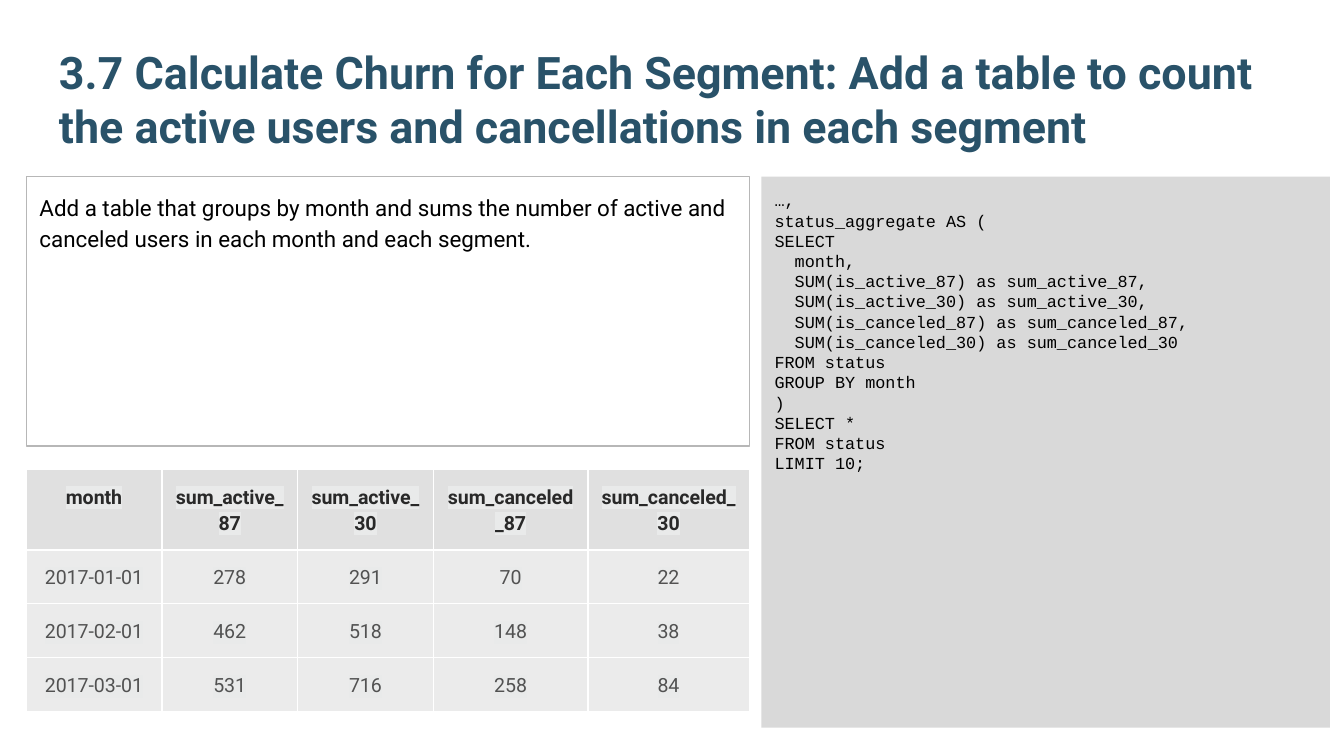
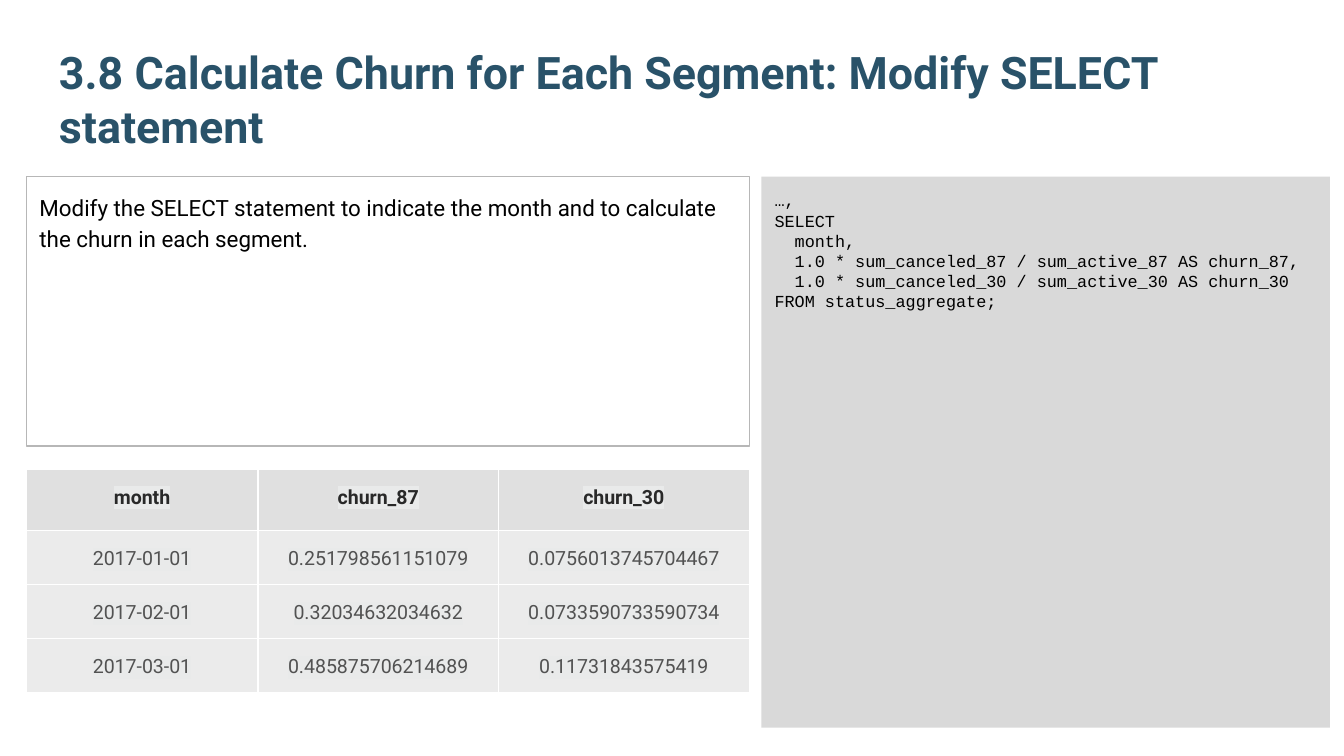
from lxml.etree import SubElement
from pptx import Presentation
from pptx.dml.color import RGBColor
from pptx.enum.shapes import MSO_SHAPE as Shape
from pptx.enum.text import MSO_ANCHOR as Anchor, PP_ALIGN as Align
from pptx.oxml import parse_xml
from pptx.oxml.ns import nsdecls, qn
from pptx.util import Emu, Pt

PX = 4572  # 200 px to the inch


def px(length):
    return Emu(length * PX)


def rgb(value):
    return RGBColor.from_string(value)


def write(frame, text, size, color, font="Roboto", bold=False, align=Align.LEFT,
          anchor=Anchor.TOP, spacing=1.0, highlight=None):
    """Fill a text frame, one paragraph for each line of text."""
    frame.word_wrap = True
    frame.vertical_anchor = anchor
    for number, line in enumerate(text.split("\n")):
        paragraph = frame.add_paragraph() if number else frame.paragraphs[0]
        paragraph.alignment = align
        paragraph.line_spacing = spacing
        run = paragraph.add_run()
        run.text = line
        run.font.size = Pt(size)
        run.font.bold = bold
        run.font.color.rgb = rgb(color)
        run.font.name = font
        if highlight:
            run._r.rPr.find(qn("a:solidFill")).addnext(parse_xml(
                f'<a:highlight {nsdecls("a")}><a:srgbClr val="{highlight}"/></a:highlight>'))


def set_margins(holder):
    holder.margin_left = holder.margin_right = px(20)
    holder.margin_top = holder.margin_bottom = px(20)


def set_borders(cell, color, width):
    properties = cell._tc.get_or_add_tcPr()
    for position, side in enumerate(("lnL", "lnR", "lnT", "lnB")):
        border = parse_xml(f'<a:{side} {nsdecls("a")} w="{Pt(width)}"/>')
        fill = SubElement(border, qn("a:solidFill"))
        SubElement(fill, qn("a:srgbClr"), val=color)
        properties.insert(position, border)


class Deck:
    TITLE, INK = "295269", "000000"
    CODE_FILL, TASK_LINE = "D9D9D9", "B7B7B7"
    HEAD_FILL, HEAD_INK = "E0E0E0", "292929"
    BODY_FILL, BODY_INK = "EBEBEB", "525252"
    HIGHLIGHT, GRID = "E9EAEA", "FFFFFF"
    LEFT, TOP = 39, 263
    HEAD_HEIGHT, ROW_HEIGHT = 92, 74

    def __init__(self):
        self.prs = Presentation()
        self.prs.slide_width, self.prs.slide_height = px(2000), px(1125)
        self.slide = None

    def new_slide(self):
        self.slide = self.prs.slides.add_slide(self.prs.slide_layouts[6])

    def title(self, text):
        heading = self.slide.shapes.add_textbox(px(68), px(63), px(1864), px(184))
        set_margins(heading.text_frame)
        write(heading.text_frame, text, 24, self.TITLE, bold=True, anchor=Anchor.BOTTOM)

    def panel(self, left, width, height, text, fill=None, line=None, **text_format):
        panel = self.slide.shapes.add_shape(
            Shape.RECTANGLE, px(left), px(self.TOP), px(width), px(height))
        panel.shadow.inherit = False
        if fill:
            panel.fill.solid()
            panel.fill.fore_color.rgb = rgb(fill)
        else:
            panel.fill.background()
        if line:
            panel.line.color.rgb = rgb(line)
            panel.line.width = Pt(0.75)
        else:
            panel.line.fill.background()
        set_margins(panel.text_frame)
        write(panel.text_frame, text, color=self.INK, **text_format)

    def code(self, text):
        self.panel(1133, 846, 820, text, fill=self.CODE_FILL, size=9, font="Courier New")

    def task(self, text):
        self.panel(self.LEFT, 1076, 401, text, line=self.TASK_LINE, size=12, spacing=1.15)

    def results(self, widths, rows):
        heights = [self.HEAD_HEIGHT] + [self.ROW_HEIGHT] * (len(rows) - 1)
        table = self.slide.shapes.add_table(
            len(rows), len(widths), px(self.LEFT), px(698),
            px(sum(widths)), px(sum(heights))).table
        table.horz_banding = False
        for column, width in zip(table.columns, widths):
            column.width = px(width)
        for r, values in enumerate(rows):
            table.rows[r].height = px(heights[r])
            is_head = r == 0
            for c, value in enumerate(values):
                cell = table.cell(r, c)
                cell.fill.solid()
                cell.fill.fore_color.rgb = rgb(self.HEAD_FILL if is_head else self.BODY_FILL)
                set_borders(cell, self.GRID, 0.75)
                set_margins(cell)
                write(cell.text_frame, value, 10.5,
                      self.HEAD_INK if is_head else self.BODY_INK, bold=is_head,
                      align=Align.CENTER, spacing=1.15, highlight=self.HIGHLIGHT)

    def step(self, title, code, task, widths, rows):
        self.new_slide()
        self.title(title)
        self.code(code)
        self.task(task)
        self.results(widths, rows)


# Content of the steps
AGGREGATE_SQL = """…,
status_aggregate AS (
SELECT
  month,
  SUM(is_active_87) as sum_active_87,
  SUM(is_active_30) as sum_active_30,
  SUM(is_canceled_87) as sum_canceled_87,
  SUM(is_canceled_30) as sum_canceled_30
FROM status
GROUP BY month
)
SELECT *
FROM status
LIMIT 10;"""

CHURN_SQL = """…,
SELECT
  month,
  1.0 * sum_canceled_87 / sum_active_87 AS churn_87,
  1.0 * sum_canceled_30 / sum_active_30 AS churn_30
FROM status_aggregate;"""

SUMS = [
    ("month", "sum_active_87", "sum_active_30", "sum_canceled_87", "sum_canceled_30"),
    ("2017-01-01", "278", "291", "70", "22"),
    ("2017-02-01", "462", "518", "148", "38"),
    ("2017-03-01", "531", "716", "258", "84"),
]

CHURN = [
    ("month", "churn_87", "churn_30"),
    ("2017-01-01", "0.251798561151079", "0.0756013745704467"),
    ("2017-02-01", "0.32034632034632", "0.0733590733590734"),
    ("2017-03-01", "0.485875706214689", "0.11731843575419"),
]


def main():
    deck = Deck()

    # Sums by month
    deck.step(
        "3.7 Calculate Churn for Each Segment: Add a table to count "
        "the active users and cancellations in each segment",
        AGGREGATE_SQL,
        "Add a table that groups by month and sums the number of active and "
        "canceled users in each month and each segment.",
        [202, 202, 202, 230, 240], SUMS)

    # Churn by month
    deck.step(
        "3.8 Calculate Churn for Each Segment: Modify SELECT statement",
        CHURN_SQL,
        "Modify the SELECT statement to indicate the month and to calculate "
        "the churn in each segment.",
        [345, 358, 373], CHURN)

    deck.prs.save("out.pptx")


if __name__ == "__main__":
    main()
